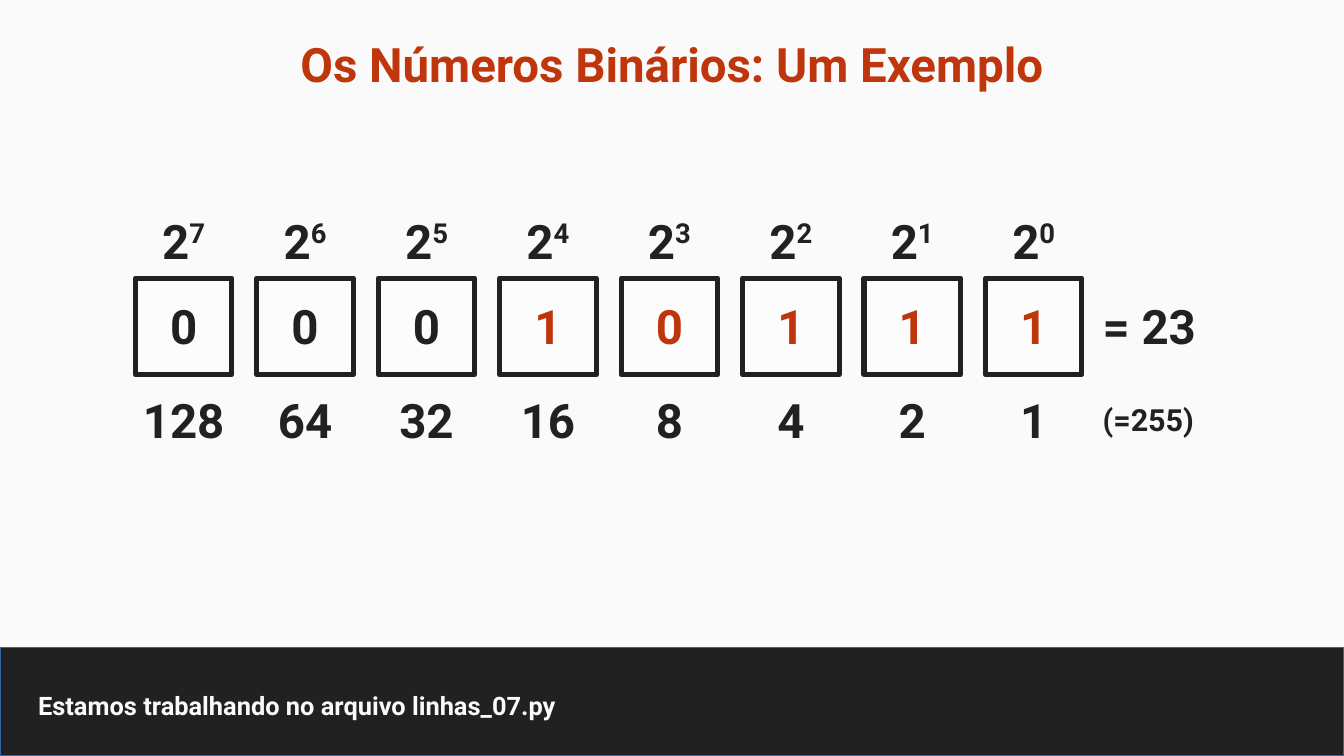
from pptx import Presentation
from pptx.dml.color import RGBColor as RGB
from pptx.enum.shapes import MSO_SHAPE as SHAPE
from pptx.enum.text import MSO_ANCHOR as ANCHOR, PP_ALIGN as ALIGN
from pptx.oxml.ns import qn
from pptx.util import Pt
from lxml.etree import SubElement

TITLE = "Os Números Binários: Um Exemplo"
FOOTER = "Estamos trabalhando no arquivo linhas_07.py"
BITS = "00010111"
VALUE = "= 23"
MAXIMUM = "(=255)"

THEME = {
    "font": "Roboto",
    "paper": RGB.from_string("FAFAFA"),
    "ink": RGB.from_string("212121"),
    "accent": RGB.from_string("BF360C"),
    "box": RGB.from_string("FFFFFF"),
    "edge": RGB.from_string("3465A4"),
    "large": 28,
    "medium": 18,
    "small": 15,
}

WIDTH, HEIGHT = 793.5, 446.4
BAR_TOP = 382.3
BOX_LEFT, BOX_TOP, BOX_SIZE, PITCH = 79.9, 164.2, 57, 71.7
ROW_HEIGHT = 39
POWER_TOP, DIGIT_TOP, WEIGHT_TOP = 122.4, 172.8, 228.2
RESULT_LEFT, RESULT_WIDTH = 651, 63


def add_text(slide, text, left, top, width, height=ROW_HEIGHT, color="ink",
             size="large", align=ALIGN.CENTER, exponent=""):
    tb = slide.shapes.add_textbox(Pt(left), Pt(top), Pt(width), Pt(height))
    tf = tb.text_frame
    frame = {"word_wrap": True, "vertical_anchor": ANCHOR.MIDDLE,
             "margin_left": 0, "margin_right": 0, "margin_top": 0, "margin_bottom": 0}
    for name, value in frame.items():
        setattr(tf, name, value)
    p = tf.paragraphs[0]
    p.alignment = align
    for part in filter(None, (text, exponent)):
        r = p.add_run()
        r.text = part
        font = {"name": THEME["font"], "size": Pt(THEME[size]), "bold": True}
        for name, value in font.items():
            setattr(r.font, name, value)
        r.font.color.rgb = THEME[color]
    if exponent:
        r._r.get_or_add_rPr().set("baseline", "33000")


def add_rect(slide, left, top, width, height, fill, line, weight):
    sp = slide.shapes.add_shape(SHAPE.RECTANGLE, Pt(left), Pt(top), Pt(width), Pt(height))
    sp.shadow.inherit = False
    sp.fill.solid()
    sp.fill.fore_color.rgb = THEME[fill]
    sp.line.color.rgb = THEME[line]
    sp.line.width = Pt(weight)
    return sp


def add_bit_box(slide, left):
    sp = add_rect(slide, left, BOX_TOP, BOX_SIZE, BOX_SIZE, "box", "ink", 3)
    color = sp._element.spPr.find(qn("a:solidFill"))[0]
    SubElement(color, qn("a:alpha")).set("val", "50000")
    SubElement(sp.line._get_or_add_ln(), qn("a:round"))


def main():
    prs = Presentation()
    prs.slide_width, prs.slide_height = Pt(WIDTH), Pt(HEIGHT)
    slide = prs.slides.add_slide(prs.slide_layouts[6])
    slide.background.fill.solid()
    slide.background.fill.fore_color.rgb = THEME["paper"]

    add_rect(slide, 0, BAR_TOP, WIDTH, HEIGHT - BAR_TOP, "ink", "edge", 0)
    add_text(slide, FOOTER, 22.5, 389, 417, 54.5, "paper", "small", ALIGN.LEFT)
    add_text(slide, TITLE, 39.6, 18, 714, color="accent")

    first_one = BITS.index("1")
    for i, bit in enumerate(BITS):
        left = BOX_LEFT + i * PITCH
        power = len(BITS) - 1 - i
        add_bit_box(slide, left)
        add_text(slide, "2", left, POWER_TOP, BOX_SIZE, exponent=str(power))
        add_text(slide, bit, left, DIGIT_TOP, BOX_SIZE,
                 color="accent" if i >= first_one else "ink")
        add_text(slide, str(2 ** power), left, WEIGHT_TOP, BOX_SIZE)

    for text, top, size in ((VALUE, DIGIT_TOP, "large"), (MAXIMUM, WEIGHT_TOP, "medium")):
        add_text(slide, text, RESULT_LEFT, top, RESULT_WIDTH, size=size, align=ALIGN.LEFT)

    prs.save("out.pptx")


if __name__ == "__main__":
    main()
